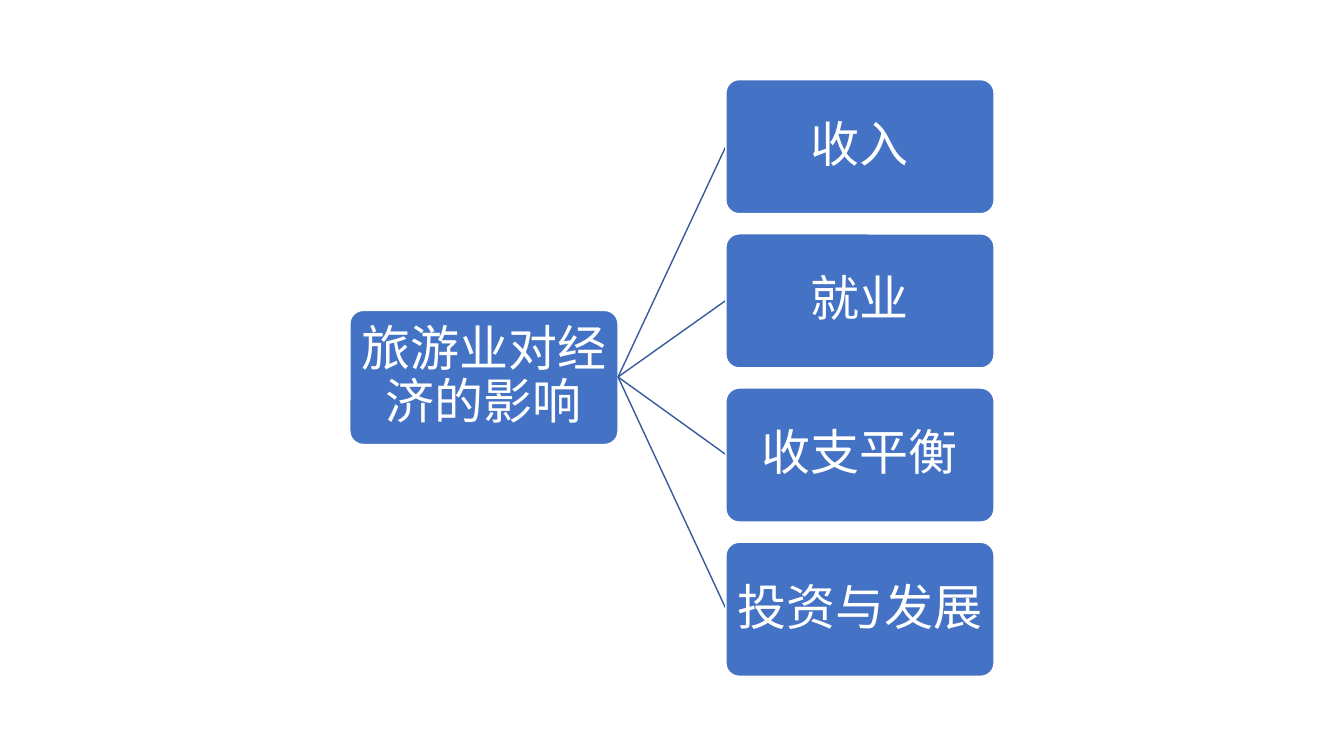
from dataclasses import dataclass

from lxml.etree import SubElement
from pptx import Presentation
from pptx.dml.color import RGBColor as RGB
from pptx.enum.shapes import MSO_CONNECTOR as Link, MSO_SHAPE as Form
from pptx.enum.text import MSO_ANCHOR as Anchor, PP_ALIGN as Align
from pptx.oxml.ns import qn
from pptx.slide import Slide
from pptx.util import Emu, Pt


@dataclass(frozen=True)
class Theme:
    fill: RGB = RGB(0x44, 0x72, 0xC4)
    edge: RGB = RGB(0xFF, 0xFF, 0xFF)
    text: RGB = RGB(0xFF, 0xFF, 0xFF)
    link: RGB = RGB(0x36, 0x5B, 0x9D)
    font: str = "Noto Sans CJK SC"
    size: int = 35
    line: int = 1


@dataclass(frozen=True)
class Node:
    text: str
    left: int
    top: int


THEME = Theme()
SCALE = 9144  # EMU in one px, 100 px to the inch
WIDE, HIGH, INSET = 266, 133, 2
STEP = 153

ROOT = Node("旅游业对经济的影响", 347, 308)
TOPICS = ("收入", "就业", "收支平衡", "投资与发展")
LEAVES = [Node(text, 720, 79 + row * STEP) for row, text in enumerate(TOPICS)]


def px(count: int) -> Emu:
    return Emu(count * SCALE)


def draw_node(slide: Slide, node: Node) -> None:
    box = slide.shapes.add_shape(
        Form.ROUNDED_RECTANGLE, px(node.left), px(node.top), px(WIDE), px(HIGH))
    box.adjustments[0] = 0.1
    box.shadow.inherit = False
    box.fill.solid()
    box.fill.fore_color.rgb = THEME.fill
    box.line.color.rgb = THEME.edge
    box.line.width = Pt(THEME.line)

    # Label
    frame = box.text_frame
    frame.word_wrap = True
    frame.vertical_anchor = Anchor.MIDDLE
    frame.margin_left = frame.margin_right = px(INSET)
    frame.margin_top = frame.margin_bottom = px(INSET)
    para = frame.paragraphs[0]
    para.alignment = Align.CENTER
    para.line_spacing = 0.9
    after = SubElement(para._p.get_or_add_pPr(), qn("a:spcAft"))
    SubElement(after, qn("a:spcPct"), val="35000")
    run = para.add_run()
    run.text = node.text
    run.font.size = Pt(THEME.size)
    run.font.color.rgb = THEME.text
    run.font.name = THEME.font
    SubElement(run.font._element, qn("a:ea"), typeface=THEME.font)


def draw_link(slide: Slide, start: Node, end: Node) -> None:
    line = slide.shapes.add_connector(
        Link.STRAIGHT,
        px(start.left + WIDE), px(start.top + HIGH // 2),
        px(end.left), px(end.top + HIGH // 2))
    line.line.color.rgb = THEME.link
    line.line.width = Pt(THEME.line)
    SubElement(line._element.spPr, qn("a:effectLst"))


def main() -> None:
    deck = Presentation()
    deck.slide_width, deck.slide_height = px(1333), px(750)
    slide = deck.slides.add_slide(deck.slide_layouts[6])

    # Tree: root first, then each branch with its leaf
    draw_node(slide, ROOT)
    for leaf in LEAVES:
        draw_link(slide, ROOT, leaf)
        draw_node(slide, leaf)

    deck.save("out.pptx")


if __name__ == "__main__":
    main()
